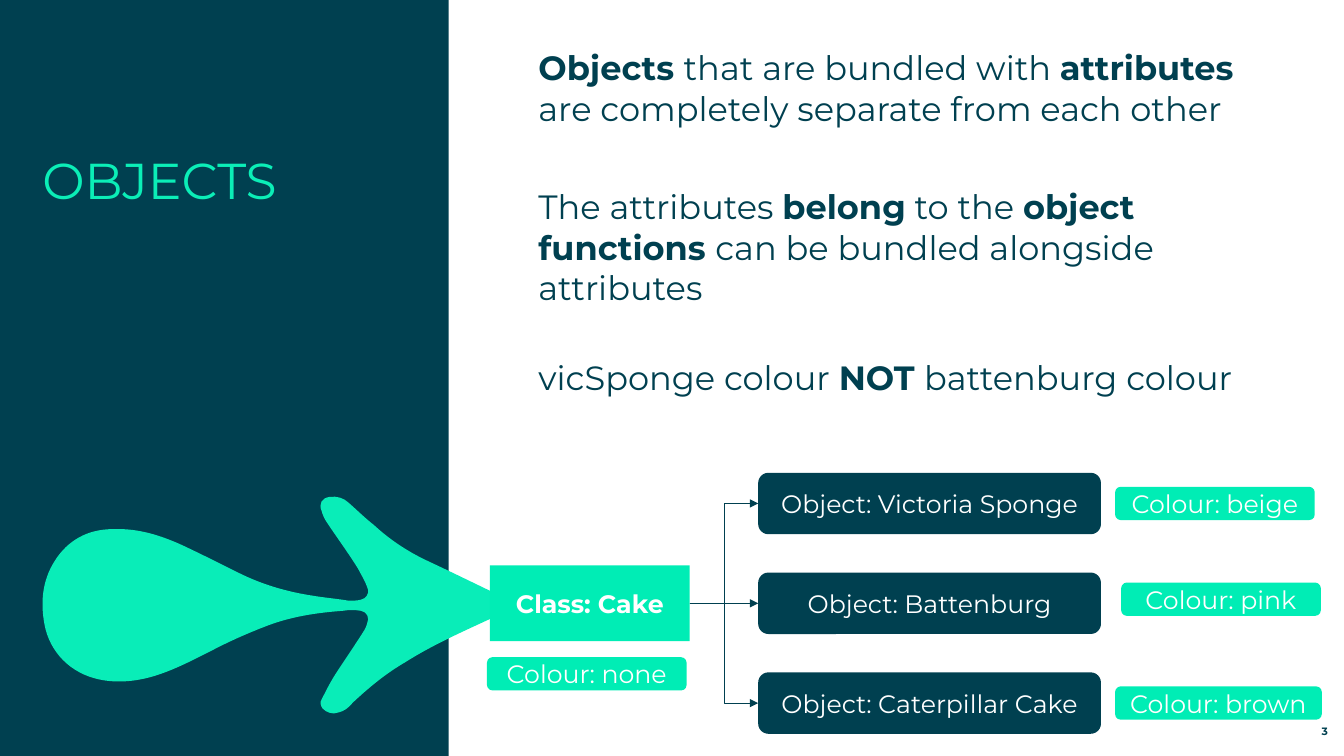
from dataclasses import dataclass

import pptx
import pptx.dml.color
import pptx.enum.shapes
import pptx.enum.text
import pptx.oxml
import pptx.oxml.ns
import pptx.util
from lxml import etree

Inches = pptx.util.Inches
Pt = pptx.util.Pt
MSO_SHAPE = pptx.enum.shapes.MSO_SHAPE
PP_ALIGN = pptx.enum.text.PP_ALIGN
MSO_ANCHOR = pptx.enum.text.MSO_ANCHOR
qn = pptx.oxml.ns.qn


@dataclass(frozen=True)
class Theme:
    font: str = "Montserrat"
    dark: str = "004050"
    mint: str = "00EDB5"
    ornament: str = "09EDB8"
    heading: str = "0BEEB7"
    white: str = "FFFFFF"
    title_size: float = 36
    body_size: float = 24
    label_size: float = 18
    number_size: float = 7.6
    connector_width: float = 0.5


THEME = Theme()
BREAK = "\n"

BODY = [
    (41.5, [("Objects ", True), ("that are bundled with ", False), ("attributes ", True),
            ("are completely separate from each other", False)]),
    (35.5, [("The attributes ", False), ("belong", True), (" to the ", False), ("object", True),
            (BREAK, True), ("functions ", True), ("can be bundled alongside attributes", False)]),
    (6.5, [("vicSponge colour ", False), ("NOT ", True), ("battenburg colour", False)]),
]

CAKES = [
    ("Victoria Sponge", "beige", (11.06, 4.83, 1.98, 0.33)),
    ("Battenburg", "pink", (11.12, 5.78, 1.98, 0.33)),
    ("Caterpillar Cake", "brown", (11.06, 6.81, 2.05, 0.33)),
]

TAIL_START = (5.15, 6)
TAIL_CURVES = [
    (5.09, 6.03, 5.03, 6.06, 4.97, 6.09), (4.65, 6.24, 4.32, 6.38, 4.02, 6.57),
    (3.83, 6.68, 3.66, 6.82, 3.5, 6.97), (3.46, 7.02, 3.41, 7.06, 3.35, 7.07),
    (3.3, 7.09, 3.24, 7.07, 3.2, 7.03), (3.18, 7, 3.17, 6.97, 3.19, 6.94),
    (3.23, 6.86, 3.27, 6.78, 3.32, 6.7), (3.41, 6.56, 3.5, 6.43, 3.59, 6.29),
    (3.61, 6.26, 3.63, 6.23, 3.64, 6.19), (3.67, 6.13, 3.64, 6.07, 3.58, 6.06),
    (3.52, 6.05, 3.46, 6.05, 3.4, 6.06), (3.13, 6.08, 2.87, 6.12, 2.62, 6.22),
    (2.44, 6.29, 2.26, 6.37, 2.09, 6.46), (1.91, 6.55, 1.72, 6.65, 1.52, 6.71),
    (1.35, 6.76, 1.16, 6.78, 0.98, 6.74), (0.7, 6.68, 0.49, 6.47, 0.44, 6.19),
    (0.4, 5.97, 0.42, 5.76, 0.54, 5.57), (0.67, 5.36, 0.87, 5.25, 1.12, 5.25),
    (1.37, 5.24, 1.59, 5.31, 1.81, 5.41), (2, 5.5, 2.18, 5.59, 2.36, 5.68),
    (2.6, 5.8, 2.84, 5.87, 3.1, 5.91), (3.22, 5.93, 3.34, 5.94, 3.46, 5.96),
    (3.5, 5.96, 3.54, 5.96, 3.58, 5.95), (3.63, 5.94, 3.66, 5.89, 3.65, 5.85),
    (3.65, 5.84, 3.65, 5.83, 3.64, 5.82), (3.62, 5.76, 3.58, 5.7, 3.55, 5.64),
    (3.45, 5.48, 3.34, 5.33, 3.24, 5.18), (3.22, 5.15, 3.2, 5.11, 3.19, 5.07),
    (3.16, 5, 3.19, 4.94, 3.27, 4.93), (3.34, 4.92, 3.41, 4.94, 3.46, 4.99),
    (3.54, 5.06, 3.62, 5.14, 3.71, 5.21), (3.86, 5.35, 4.04, 5.47, 4.23, 5.56),
    (4.53, 5.7, 4.83, 5.85, 5.13, 5.99), (5.14, 5.99, 5.14, 6, 5.15, 6),
]


def rgb(value):
    return pptx.dml.color.RGBColor.from_string(value)


def box(bounds):
    return [Inches(length) for length in bounds]


def add_run(paragraph, text, size, color, bold=False):
    run = paragraph.add_run()
    run.text = text
    run.font.name = THEME.font
    run.font.size = Pt(size)
    run.font.bold = bold
    run.font.color.rgb = rgb(color)


def paint(shape, color):
    shape.shadow.inherit = False
    shape.fill.solid()
    shape.fill.fore_color.rgb = rgb(color)
    shape.line.fill.background()


def prepare_frame(frame, anchor):
    frame.margin_left = frame.margin_top = frame.margin_right = frame.margin_bottom = 0
    frame.word_wrap = True
    frame.auto_size = pptx.enum.text.MSO_AUTO_SIZE.NONE
    frame.vertical_anchor = anchor


def place_placeholder(placeholder, bounds):
    placeholder.left, placeholder.top, placeholder.width, placeholder.height = box(bounds)
    prepare_frame(placeholder.text_frame, MSO_ANCHOR.TOP)
    placeholder.element.getparent().append(placeholder.element)


def add_label(slide, kind, bounds, text, color, bold=False):
    label = slide.shapes.add_shape(kind, *box(bounds))
    paint(label, color)
    label.text_frame.vertical_anchor = MSO_ANCHOR.MIDDLE
    paragraph = label.text_frame.paragraphs[0]
    paragraph.alignment = PP_ALIGN.CENTER
    add_run(paragraph, text, THEME.label_size, THEME.white, bold)
    return label


def add_branch(slide, parent, child):
    branch = slide.shapes.add_connector(pptx.enum.shapes.MSO_CONNECTOR.ELBOW, 0, 0, 0, 0)
    branch.begin_connect(parent, 3)
    branch.end_connect(child, 1)
    branch.line.color.rgb = rgb(THEME.dark)
    branch.line.width = Pt(THEME.connector_width)
    properties = branch.element.spPr
    etree.SubElement(properties.find(qn("a:ln")), qn("a:tailEnd"), type="triangle")
    etree.SubElement(properties, qn("a:effectLst"))


def add_tail(slide):
    outline = slide.shapes.build_freeform(*box(TAIL_START), scale=1.0)
    outline.add_line_segments([box(curve[4:]) for curve in TAIL_CURVES], close=True)
    tail = outline.convert_to_shape()
    paint(tail, THEME.ornament)
    segments = list(tail.element.iter(qn("a:lnTo")))
    for segment, curve in zip(segments, TAIL_CURVES):
        bend = etree.Element(qn("a:cubicBezTo"))
        for x, y in zip(box(curve[::2]), box(curve[1::2])):
            etree.SubElement(bend, qn("a:pt"), x=str(x - tail.left), y=str(y - tail.top))
        segment.getparent().replace(segment, bend)


def fill_title(title):
    place_placeholder(title, (0.42, 1.48, 3.77, 3.01))
    paragraph = title.text_frame.paragraphs[0]
    paragraph.alignment = PP_ALIGN.LEFT
    add_run(paragraph, "OBJECTS", THEME.title_size, THEME.heading)


def fill_body(body):
    place_placeholder(body, (5.34, 0.47, 7.4, 6.23))
    frame = body.text_frame
    for index, (space_after, runs) in enumerate(BODY):
        paragraph = frame.add_paragraph() if index else frame.paragraphs[0]
        paragraph.space_before = Pt(0)
        paragraph.space_after = Pt(space_after)
        properties = paragraph._p.get_or_add_pPr()
        properties.set("marL", "0")
        properties.set("indent", "0")
        etree.SubElement(properties, qn("a:buNone"))
        for text, bold in runs:
            if text == BREAK:
                paragraph.add_line_break()
            else:
                add_run(paragraph, text, THEME.body_size, THEME.dark, bold)


def add_page_number(slide):
    number = slide.shapes.add_textbox(*box((12.31, 7.12, 0.86, 0.2)))
    prepare_frame(number.text_frame, MSO_ANCHOR.BOTTOM)
    paragraph = number.text_frame.paragraphs[0]
    paragraph.alignment = PP_ALIGN.RIGHT
    add_run(paragraph, "3", THEME.number_size, THEME.dark, True)


def add_cake_diagram(slide):
    rounded = MSO_SHAPE.FLOWCHART_ALTERNATE_PROCESS
    cake_class = add_label(slide, MSO_SHAPE.RECTANGLE, (4.86, 5.61, 1.98, 0.75),
                           "Class: Cake", THEME.mint, True)
    add_label(slide, rounded, (4.83, 6.52, 1.98, 0.33), "Colour: none", THEME.mint)
    for index, (cake, colour, tag_bounds) in enumerate(CAKES):
        cake_object = add_label(slide, rounded, (7.52, 4.69 + 0.99 * index, 3.4, 0.61),
                                f"Object: {cake}", THEME.dark)
        add_branch(slide, cake_class, cake_object)
        add_label(slide, rounded, tag_bounds, f"Colour: {colour}", THEME.mint)


def main():
    deck = pptx.Presentation()
    deck.slide_width, deck.slide_height = box((13.33, 7.5))
    slide = deck.slides.add_slide(deck.slide_layouts[1])
    side_panel = slide.shapes.add_shape(MSO_SHAPE.RECTANGLE, *box((0, 0, 4.45, 7.5)))
    paint(side_panel, THEME.dark)
    add_tail(slide)
    fill_title(slide.shapes.title)
    add_page_number(slide)
    add_cake_diagram(slide)
    fill_body(slide.placeholders[1])
    deck.save("out.pptx")


if __name__ == "__main__":
    main()
